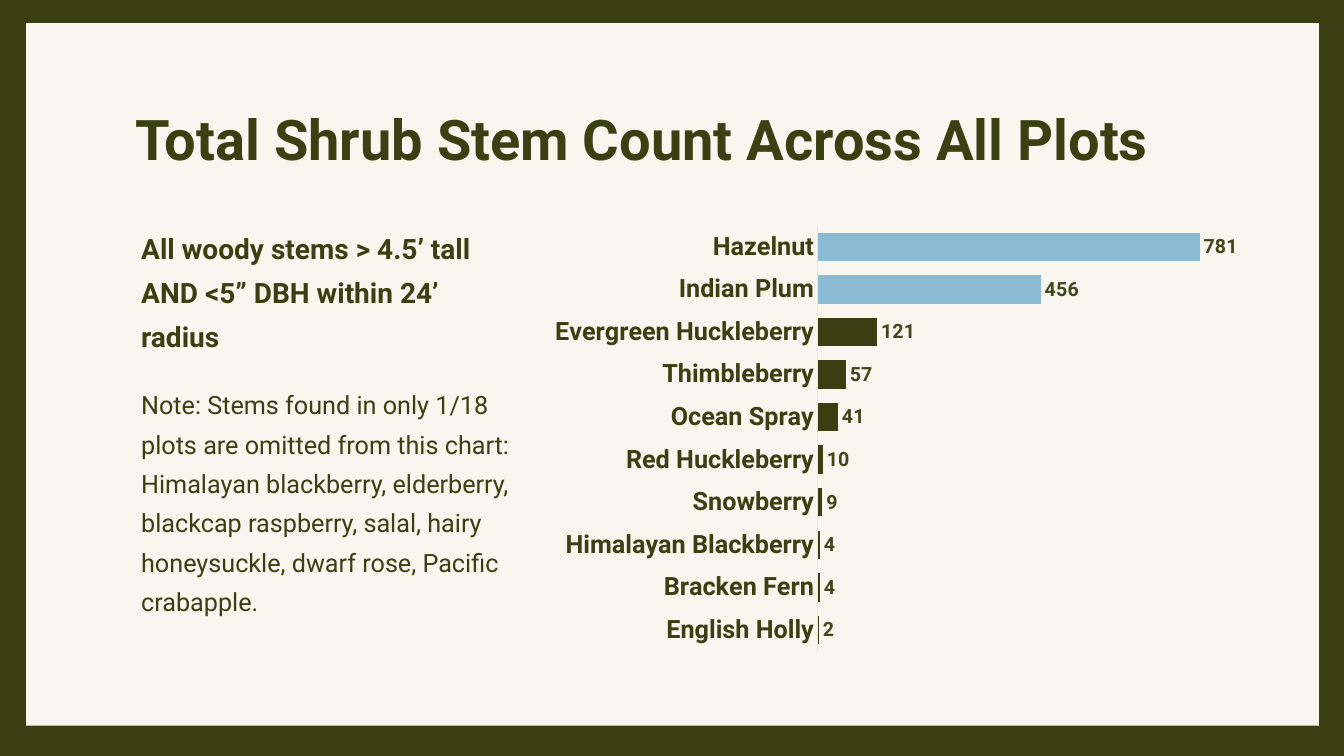
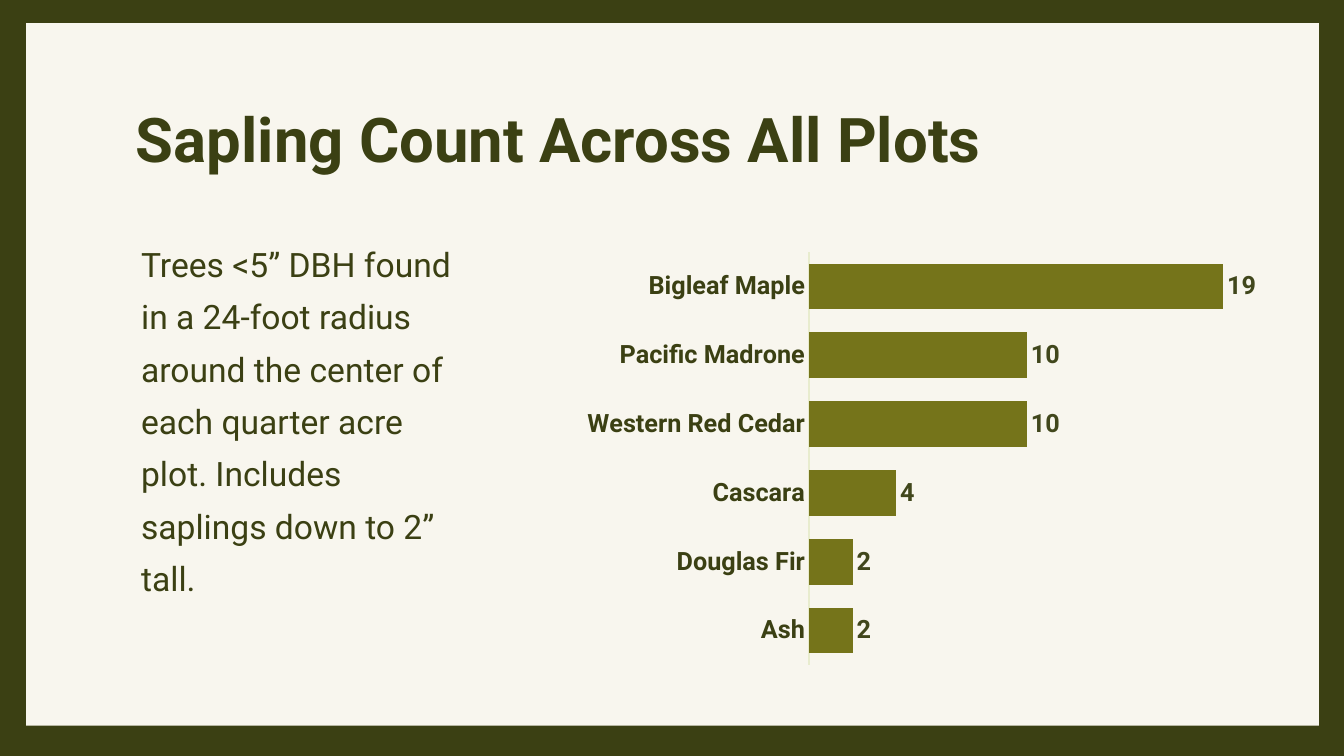
from lxml import etree
from pptx import Presentation
from pptx.chart.data import CategoryChartData
from pptx.dml.color import RGBColor
from pptx.enum.chart import XL_CHART_TYPE, XL_LABEL_POSITION, XL_TICK_MARK
from pptx.enum.shapes import MSO_SHAPE
from pptx.enum.text import MSO_ANCHOR
from pptx.oxml.ns import qn
from pptx.util import Inches, Pt

BAR_CLUSTERED = XL_CHART_TYPE.BAR_CLUSTERED
OUTSIDE_END = XL_LABEL_POSITION.OUTSIDE_END
NO_TICK = XL_TICK_MARK.NONE
RECTANGLE = MSO_SHAPE.RECTANGLE
MIDDLE = MSO_ANCHOR.MIDDLE

DARK_GREEN = RGBColor(0x3B, 0x40, 0x13)
CREAM = RGBColor(0xF8, 0xF6, 0xEE)
LABEL_GREEN = RGBColor(0x41, 0x47, 0x1C)
CHART_TEXT = RGBColor(0x23, 0x26, 0x0F)
AXIS_GREEN = RGBColor(0xE8, 0xEC, 0xCE)
SKY_BLUE = RGBColor(0x8A, 0xBA, 0xD4)
OLIVE = RGBColor(0x75, 0x74, 0x1A)
FONT = "Roboto"
CHART_FONT = "Calibri"

# Boxes are left, top, width, height in inches.
# Plot areas are x, y, w, h as fractions of the chart.
# Bars are listed from the bottom of the chart to the top.
PAGES = [
    {
        "title": ("Total Shrub Stem Count Across All Plots", 40),
        "body_box": (1.25, 2.15, 3.94, 4.4),
        "body": [
            ("All woody stems > 4.5’ tall AND <5” DBH within 24’ radius", 20, True),
            ("Note: Stems found in only 1/18 plots are omitted from this chart: "
             "Himalayan blackberry, elderberry, blackcap raspberry, salal, hairy "
             "honeysuckle, dwarf rose, Pacific crabapple.", 18, False),
        ],
        "chart_box": (5.35, 2.15, 7.27, 4.4),
        "plot": (0.38, 0.02, 0.6, 0.96),
        "axis_max": 900,
        "bar_color": DARK_GREEN,
        "highlights": ["Indian Plum", "Hazelnut"],
        "label_size": 14,
        "bars": [
            ("English Holly", 2), ("Bracken Fern", 4), ("Himalayan Blackberry", 4),
            ("Snowberry", 9), ("Red Huckleberry", 10), ("Ocean Spray", 41),
            ("Thimbleberry", 57), ("Evergreen Huckleberry", 121),
            ("Indian Plum", 456), ("Hazelnut", 781),
        ],
    },
    {
        "title": ("Sapling Count Across All Plots", 44),
        "body_box": (1.25, 2.25, 3.4, 4.4),
        "body": [
            ("Trees <5” DBH found in a 24-foot radius around the center of each "
             "quarter acre plot. Includes saplings down to 2” tall.", 24, False),
        ],
        "chart_box": (5.37, 2.25, 7.27, 4.4),
        "plot": (0.365, 0.057, 0.595, 0.931),
        "axis_max": 20,
        "bar_color": OLIVE,
        "highlights": [],
        "label_size": 18,
        "bars": [
            ("Ash", 2), ("Douglas Fir", 2), ("Cascara", 4),
            ("Western Red Cedar", 10), ("Pacific Madrone", 10), ("Bigleaf Maple", 19),
        ],
    },
]


def inches(box):
    return [Inches(length) for length in box]


def style_font(font, size, bold, color=DARK_GREEN, name=FONT):
    font.name = name
    font.size = Pt(size)
    font.bold = bold
    font.color.rgb = color


def fill_solid(fill, color):
    fill.solid()
    fill.fore_color.rgb = color


def add_text(page, box, paragraphs, line_spacing):
    frame = page.shapes.add_textbox(*inches(box)).text_frame
    frame.word_wrap = True
    for index, (text, size, bold) in enumerate(paragraphs):
        para = frame.add_paragraph() if index else frame.paragraphs[0]
        para.line_spacing = line_spacing
        span = para.add_run()
        span.text = text
        style_font(span.font, size, bold)
    return frame


def add_title(page, title):
    text, size = title
    frame = add_text(page, (1.25, 0.67, 10.8, 1.48), [(text, size, True)], 0.9)
    frame.vertical_anchor = MIDDLE


def add_body(page, box, paragraphs):
    frame = add_text(page, box, paragraphs, 1.3)
    frame.margin_left = Inches(0.15)
    for para in frame.paragraphs[1:]:
        para.space_before = Pt(20)


def set_plot_area(chart, fractions):
    """Fix the inner plot area, which python-pptx cannot place."""
    plot_area = chart.plots[0]._element.getparent()
    for old_layout in plot_area.findall(qn("c:layout")):
        plot_area.remove(old_layout)
    layout = etree.Element(qn("c:layout"))
    plot_area.insert(0, layout)
    manual = etree.SubElement(layout, qn("c:manualLayout"))
    settings = [("layoutTarget", "inner"), ("xMode", "edge"), ("yMode", "edge")]
    settings += zip("xywh", fractions)
    for tag, value in settings:
        etree.SubElement(manual, qn(f"c:{tag}")).set("val", str(value))


def add_bar_chart(page, content):
    names, counts = zip(*content["bars"])
    data = CategoryChartData()
    data.categories = names
    data.add_series("Series 1", counts)
    box = inches(content["chart_box"])
    chart = page.shapes.add_chart(BAR_CLUSTERED, *box, data).chart
    chart.has_title = False
    chart.has_legend = False
    style_font(chart.font, 10, False, CHART_TEXT, CHART_FONT)
    set_plot_area(chart, content["plot"])

    names_axis = chart.category_axis
    names_axis.major_tick_mark = NO_TICK
    names_axis.minor_tick_mark = NO_TICK
    names_axis.format.line.color.rgb = AXIS_GREEN
    names_axis.format.line.width = Pt(0.75)
    style_font(names_axis.tick_labels.font, 18, True)

    count_axis = chart.value_axis
    count_axis.visible = False
    count_axis.has_major_gridlines = False
    count_axis.minimum_scale = 0
    count_axis.maximum_scale = content["axis_max"]

    plot = chart.plots[0]
    plot.gap_width = 50
    plot.vary_by_categories = False
    series = plot.series[0]
    series.invert_if_negative = False
    fill_solid(series.format.fill, content["bar_color"])
    for name in content["highlights"]:
        fill_solid(series.points[names.index(name)].format.fill, SKY_BLUE)

    labels = series.data_labels
    labels.show_value = True
    labels.position = OUTSIDE_END
    style_font(labels.font, content["label_size"], True, LABEL_GREEN)


def add_framed_page(deck):
    page = deck.slides.add_slide(deck.slide_layouts[6])
    fill_solid(page.background.fill, DARK_GREEN)
    panel = page.shapes.add_shape(RECTANGLE, *inches((0.26, 0.23, 12.82, 6.97)))
    panel.shadow.inherit = False
    panel.line.fill.background()
    fill_solid(panel.fill, CREAM)
    return page


def main():
    deck = Presentation()
    deck.slide_width = Inches(13.33)
    deck.slide_height = Inches(7.5)
    for content in PAGES:
        page = add_framed_page(deck)
        add_title(page, content["title"])
        add_body(page, content["body_box"], content["body"])
        add_bar_chart(page, content)
    deck.save("out.pptx")


if __name__ == "__main__":
    main()
